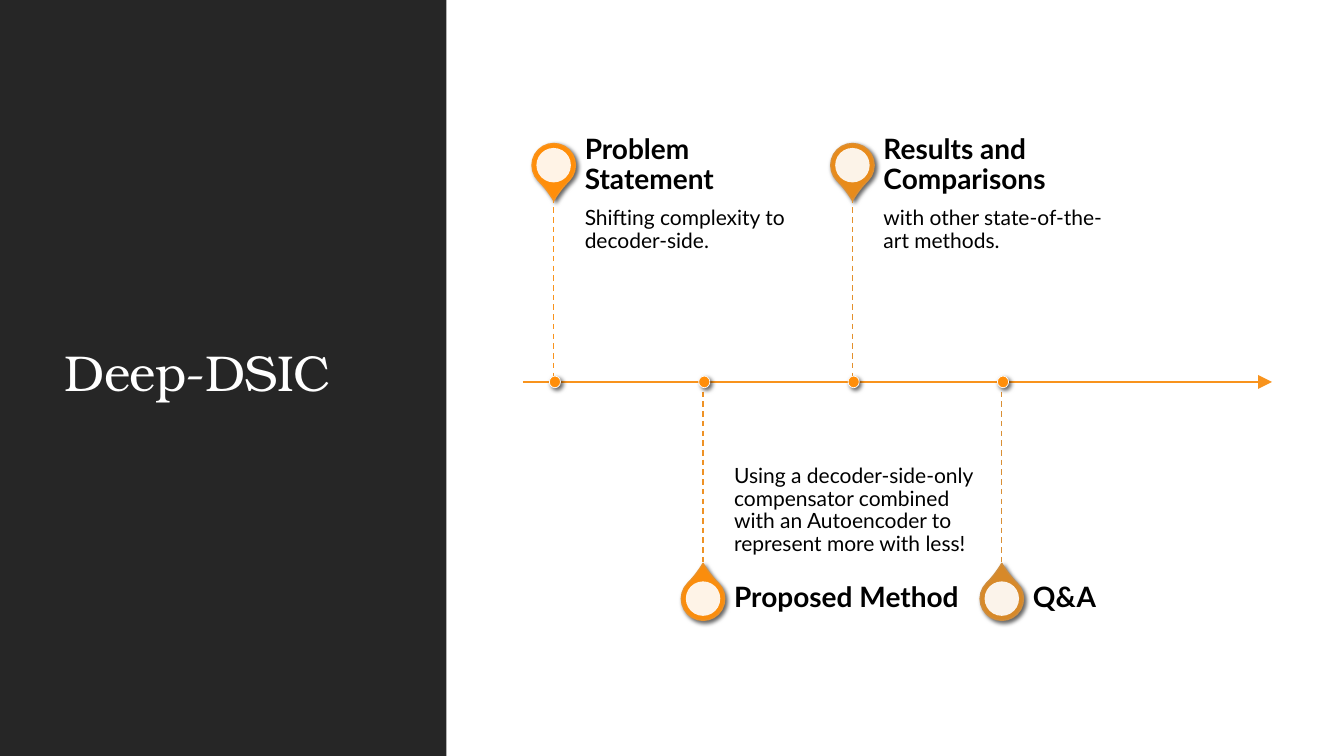
import pptx
import pptx.util
import pptx.oxml
import pptx.oxml.ns
from pptx.dml.color import RGBColor
from pptx.enum.dml import MSO_LINE
from pptx.enum.shapes import MSO_CONNECTOR, MSO_SHAPE
from pptx.enum.text import MSO_ANCHOR, MSO_AUTO_SIZE, PP_ALIGN

Pt = pptx.util.Pt

DARK = RGBColor(0x26, 0x26, 0x26)
WHITE = RGBColor(0xFF, 0xFF, 0xFF)
BLACK = RGBColor(0, 0, 0)
ORANGE = RGBColor(0xF8, 0x93, 0x1D)
DOT = RGBColor(0xFF, 0x8E, 0x0A)

TITLE = "Deep-DSIC"
STEPS = [
    ("Problem Statement", "Shifting complexity to decoder-side.",
     DOT, ORANGE, ORANGE),
    ("Proposed Method",
     "Using a decoder-side-only compensator combined with an Autoencoder to represent more with less!",
     RGBColor(0xFA, 0x8D, 0x0D), RGBColor(0xEA, 0x91, 0x28), RGBColor(0xEE, 0x92, 0x25)),
    ("Results and Comparisons", "with other state-of-the-art methods.",
     RGBColor(0xE8, 0x8B, 0x1B), RGBColor(0xDC, 0x8F, 0x33), RGBColor(0xE3, 0x90, 0x2D)),
    ("Q&A", "",
     RGBColor(0xD7, 0x89, 0x29), RGBColor(0xCE, 0x8D, 0x3E), RGBColor(0xD9, 0x8F, 0x35)),
]

AXIS_Y, AXIS_LEFT, AXIS_RIGHT = 272.8, 373.5, 908.6
FIRST_X, STEP_X = 395.5, 106.7
STEM, PIN_REACH = 131.7, 154.8
PIN, HOLE = 31, 24.6
TEXT_GAP, TEXT_WIDTH, HEADING_HEIGHT = 22.2, 172, 46

NAMESPACE = pptx.oxml.ns.nsdecls("a")
SHADOW = (
    f'<a:effectLst {NAMESPACE}><a:outerShdw blurRad="38100" dist="25400" dir="2700000" rotWithShape="0">'
    '<a:srgbClr val="000000"><a:alpha val="60000"/></a:srgbClr></a:outerShdw></a:effectLst>'
)


def add_centred(shapes, kind, x, y, width, height, fill, line=None, line_width=0):
    shape = shapes.add_shape(kind, Pt(x - width / 2), Pt(y - height / 2), Pt(width), Pt(height))
    shape.shadow.inherit = False
    shape.fill.solid()
    shape.fill.fore_color.rgb = fill
    if line is None:
        shape.line.fill.background()
    else:
        shape.line.color.rgb = line
        shape.line.width = Pt(line_width)
        properties = shape._element.spPr
        properties.remove(properties.find(pptx.oxml.ns.qn("a:effectLst")))
        properties.append(pptx.oxml.parse_xml(SHADOW))
    return shape


def add_line(shapes, start, end, color, width):
    line = shapes.add_connector(MSO_CONNECTOR.STRAIGHT, *map(Pt, start + end))
    line.line.color.rgb = color
    line.line.width = Pt(width)
    line._element.spPr.append(pptx.oxml.parse_xml(f"<a:effectLst {NAMESPACE}/>"))
    return line


def format_text(frame, text, font, size, color, anchor, bold=False):
    frame.text = text
    frame.word_wrap = True
    frame.auto_size = MSO_AUTO_SIZE.NONE
    frame.vertical_anchor = anchor
    paragraph = frame.paragraphs[0]
    paragraph.alignment = PP_ALIGN.LEFT
    paragraph.line_spacing = 0.9
    paragraph.font.name = font
    paragraph.font.size = Pt(size)
    paragraph.font.bold = bold
    paragraph.font.color.rgb = color


def add_text(shapes, x, y, height, margins, *style):
    box = shapes.add_textbox(Pt(x), Pt(y), Pt(TEXT_WIDTH), Pt(height))
    frame = box.text_frame
    frame.margin_left, frame.margin_top, frame.margin_right, frame.margin_bottom = map(Pt, margins)
    format_text(frame, *style)


def add_step(shapes, index, heading, body, pin_fill, pin_line, stem_color):
    x = FIRST_X + index * STEP_X
    above = index % 2 == 0
    side = -1 if above else 1
    pin_y = AXIS_Y + side * PIN_REACH
    pin = add_centred(shapes, MSO_SHAPE.TEAR, x, pin_y, PIN, PIN, pin_fill, pin_line, 1)
    pin.adjustments[0] = 1.15
    pin.rotation = 135 if above else 315
    hole = add_centred(shapes, MSO_SHAPE.OVAL, x, pin_y, HOLE, HOLE, WHITE)
    color = hole._element.spPr.find(".//" + pptx.oxml.ns.qn("a:srgbClr"))
    color.append(pptx.oxml.parse_xml(f'<a:alpha {NAMESPACE} val="90000"/>'))

    text_x = x + TEXT_GAP
    if body:
        add_text(shapes, text_x, AXIS_Y - STEM if above else AXIS_Y, STEM,
                 (0, 7.2, 7.2, 11.5) if above else (0, 11.5, 0, 7.2),
                 body, "Lato", 15, BLACK, MSO_ANCHOR.TOP if above else MSO_ANCHOR.BOTTOM)
    heading_y = AXIS_Y - STEM - HEADING_HEIGHT if above else AXIS_Y + STEM
    add_text(shapes, text_x, heading_y, HEADING_HEIGHT, (0, 0, 10, 0),
             heading, "Lato", 20, BLACK, MSO_ANCHOR.MIDDLE, True)

    ends = sorted([(x, AXIS_Y), (x, AXIS_Y + side * STEM)])
    stem = add_line(shapes, ends[0], ends[1], stem_color, 1)
    stem.line.dash_style = MSO_LINE.DASH
    add_centred(shapes, MSO_SHAPE.OVAL, x + 0.9, AXIS_Y, 8, 8.4, DOT, WHITE, 0.5)


def main():
    presentation = pptx.Presentation()
    presentation.slide_width = Pt(960)
    presentation.slide_height = Pt(540)
    slide = presentation.slides.add_slide(presentation.slide_layouts[5])
    shapes = slide.shapes

    panel = add_centred(shapes, MSO_SHAPE.RECTANGLE, 159.4, 270, 318.8, 540, DARK)
    title = shapes.title
    title.left, title.top, title.width, title.height = Pt(39), Pt(41), Pt(243), Pt(454)
    format_text(title.text_frame, TITLE, "TeX Gyre Bonum", 36, WHITE, MSO_ANCHOR.MIDDLE)
    title.text_frame.paragraphs[0].runs[0].font._element.set("spc", "-50")
    title._element.addprevious(panel._element)

    axis = add_line(shapes, (AXIS_LEFT, AXIS_Y), (AXIS_RIGHT, AXIS_Y), ORANGE, 1.5)
    axis.line._get_or_add_ln().append(
        pptx.oxml.parse_xml(f'<a:tailEnd {NAMESPACE} type="triangle" w="lg" len="lg"/>'))
    for index, step in enumerate(STEPS):
        add_step(shapes, index, *step)
    presentation.save("out.pptx")


if __name__ == "__main__":
    main()
